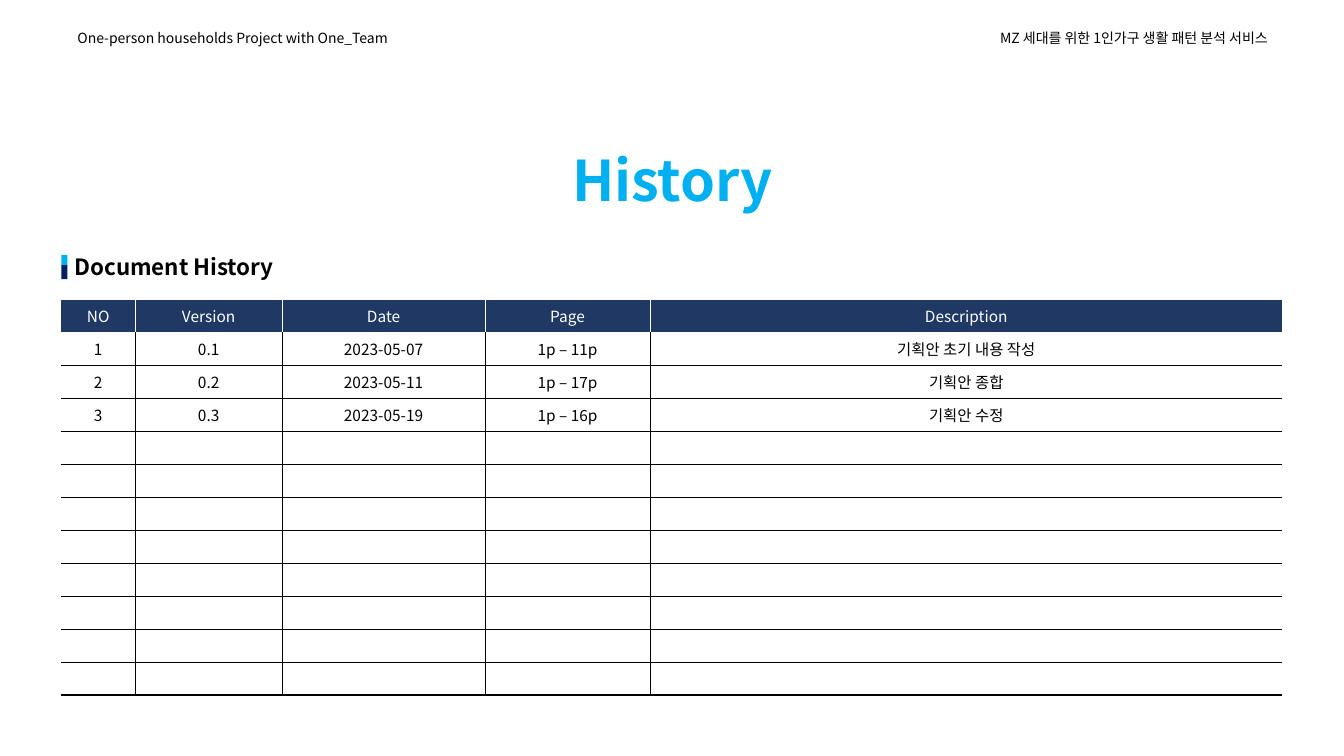
from dataclasses import dataclass

from lxml.etree import SubElement
from pptx import Presentation
from pptx.dml.color import RGBColor
from pptx.enum.shapes import MSO_SHAPE
from pptx.enum.text import MSO_ANCHOR, MSO_AUTO_SIZE, PP_ALIGN
from pptx.oxml import parse_xml
from pptx.oxml.ns import nsdecls, qn
from pptx.util import Inches, Pt


@dataclass(frozen=True)
class Theme:
    font: str = "Noto Sans CJK KR"
    black: str = "000000"
    white: str = "FFFFFF"
    sky: str = "00B0F0"
    navy: str = "002060"
    header: str = "203864"
    title: int = 40
    heading: int = 16
    cell: int = 11
    small: int = 10


T = Theme()


def write(tf, text, size, color, align=PP_ALIGN.LEFT, bold=False):
    p = tf.paragraphs[0]
    p.alignment = align
    r = p.add_run()
    r.text = text
    r.font.name = T.font
    r.font.size = Pt(size)
    r.font.bold = bold
    r.font.color.rgb = RGBColor.from_string(color)
    SubElement(r.font._element, qn("a:ea")).set("typeface", T.font)


def set_borders(cell, edges):
    tcPr = cell._tc.get_or_add_tcPr()
    for i, (side, color, width) in enumerate(edges):
        paint = f'<a:solidFill><a:srgbClr val="{color}"/></a:solidFill>' if color else "<a:noFill/>"
        tcPr.insert(i, parse_xml(f'<a:ln{side} {nsdecls("a")} w="{Pt(width)}">{paint}</a:ln{side}>'))


prs = Presentation()
prs.slide_width = Inches(13.33)
prs.slide_height = Inches(7.5)
s = prs.slides.add_slide(prs.slide_layouts[5])

title = s.shapes.title
title.left, title.top = Inches(5.1), Inches(1.39)
title.width, title.height = Inches(3.14), Inches(0.77)
title.text_frame.auto_size = MSO_AUTO_SIZE.NONE
title.text_frame.vertical_anchor = MSO_ANCHOR.MIDDLE
write(title.text_frame, "History", T.title, T.sky, PP_ALIGN.CENTER, True)

heading = s.shapes.add_group_shape()
for top, height, color in [(2.53, 0.1, T.sky), (2.63, 0.14, T.navy)]:
    bar = heading.shapes.add_shape(MSO_SHAPE.RECTANGLE, Inches(0.61), Inches(top), Inches(0.06), Inches(height))
    bar.shadow.inherit = False
    bar.fill.solid()
    bar.fill.fore_color.rgb = RGBColor.from_string(color)
    bar.line.fill.background()

labels = [
    (s, 9.09, 0.24, 3.58, 0.27, "MZ 세대를 위한 1인가구 생활 패턴 분석 서비스", T.small, PP_ALIGN.RIGHT, False),
    (s, 0.67, 0.24, 3.58, 0.27, "One-person households Project with One_Team", T.small, PP_ALIGN.LEFT, False),
    (heading, 0.64, 2.46, 3.97, 0.37, "Document History", T.heading, PP_ALIGN.LEFT, True),
]
for parent, left, top, width, height, text, size, align, bold in labels:
    tf = parent.shapes.add_textbox(Inches(left), Inches(top), Inches(width), Inches(height)).text_frame
    tf.word_wrap = True
    tf.auto_size = MSO_AUTO_SIZE.SHAPE_TO_FIT_TEXT
    tf.vertical_anchor = MSO_ANCHOR.MIDDLE
    write(tf, text, size, T.black, align, bold)

history = [
    ("NO", "Version", "Date", "Page", "Description"),
    ("1", "0.1", "2023-05-07", "1p – 11p", "기획안 초기 내용 작성"),
    ("2", "0.2", "2023-05-11", "1p – 17p", "기획안 종합"),
    ("3", "0.3", "2023-05-19", "1p – 16p", "기획안 수정"),
]
col_widths = [0.73, 1.46, 2.01, 1.64, 6.27]
n_rows, n_cols = 12, len(col_widths)
history += [("",) * n_cols] * (n_rows - len(history))

table = s.shapes.add_table(
    n_rows, n_cols, Inches(0.61), Inches(2.97), Inches(sum(col_widths)), Inches(3.93)
).table
table.first_row = False
table.horz_banding = False
for col, width in zip(table.columns, col_widths):
    col.width = Inches(width)

for i, values in enumerate(history):
    ink = T.white if i == 0 else T.black
    top_ink = T.white if i <= 1 else T.black
    bottom_width = 1.5 if i == n_rows - 1 else 0.25
    for j, text in enumerate(values):
        cell = table.cell(i, j)
        cell.vertical_anchor = MSO_ANCHOR.MIDDLE
        cell.fill.solid()
        cell.fill.fore_color.rgb = RGBColor.from_string(T.header if i == 0 else T.white)
        set_borders(cell, [
            ("L", ink if j > 0 else None, 0.25),
            ("R", ink if j < n_cols - 1 else None, 0.25),
            ("T", top_ink, 0.25),
            ("B", ink, bottom_width),
        ])
        if text:
            write(cell.text_frame, text, T.cell, ink, PP_ALIGN.CENTER)
        else:
            end = SubElement(cell.text_frame.paragraphs[0]._p, qn("a:endParaRPr"))
            end.set("sz", str(T.cell * 100))

prs.save("out.pptx")
